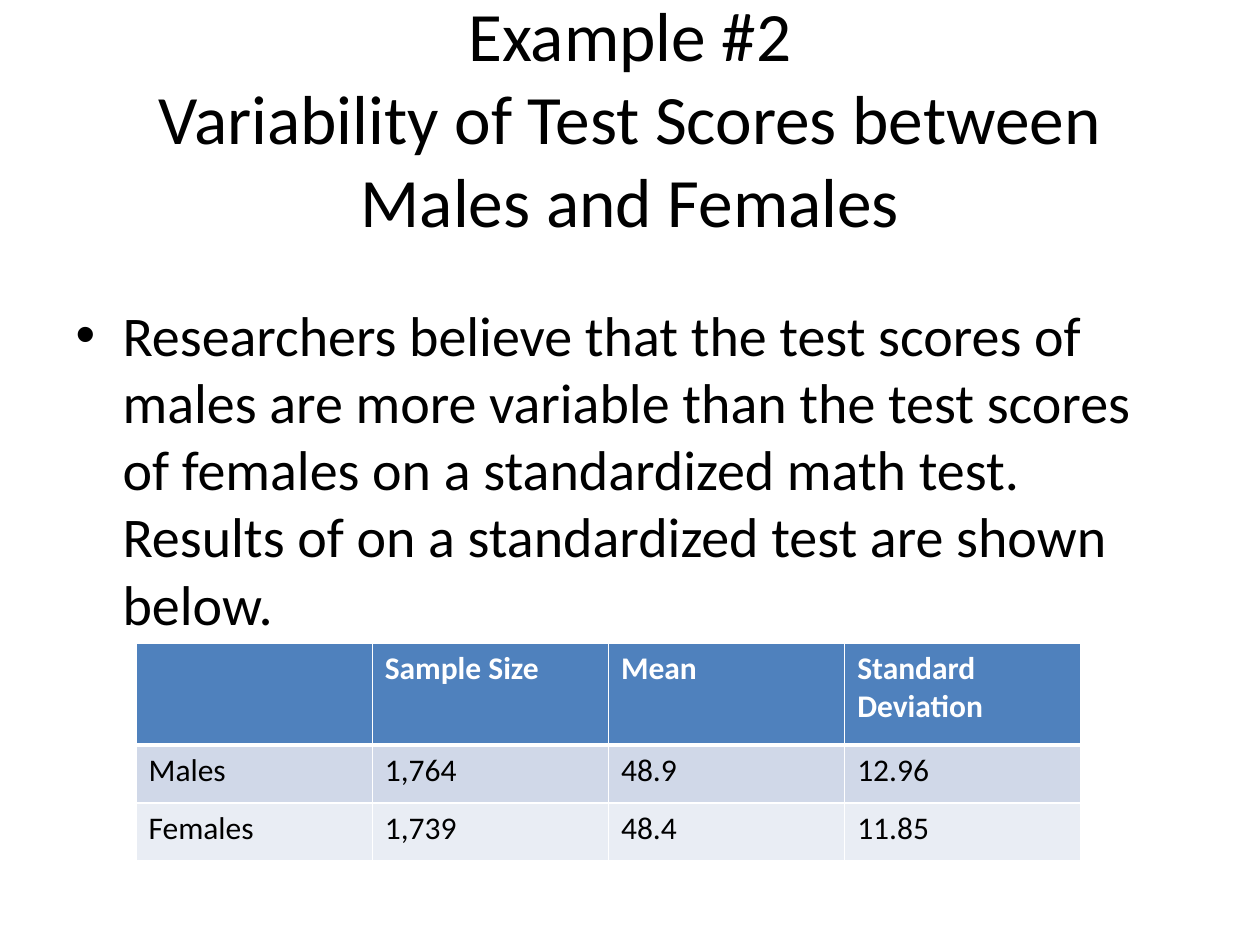
from lxml import etree
from pptx import Presentation
from pptx.dml.color import RGBColor
from pptx.enum.text import MSO_ANCHOR, MSO_AUTO_SIZE, PP_ALIGN
from pptx.oxml.ns import qn
from pptx.util import Pt

CENTER = PP_ALIGN.CENTER
LEFT = PP_ALIGN.LEFT
TOP = MSO_ANCHOR.TOP
MIDDLE = MSO_ANCHOR.MIDDLE
NO_FIT = MSO_AUTO_SIZE.NONE

SCALE = 914400 / 126  # EMU per px
FONT = "Calibri"
COLORS = {"ink": "000000", "paper": "FFFFFF", "head": "4F81BD",
          "odd": "D0D8E8", "even": "E9EDF4"}

SCORES = [
    ["", "Sample Size", "Mean", "Standard Deviation"],
    ["Males", "1,764", "48.9", "12.96"],
    ["Females", "1,739", "48.4", "11.85"],
]


def px(n):
    return round(n * SCALE)


def put(frame, text, size=18, color="ink", bold=False, align=LEFT):
    """Write text as the first paragraph of a frame and format it."""
    para = frame.paragraphs[0]
    para.text = text
    para.alignment = align
    for run in para.runs:
        run.font.name = FONT
        run.font.size = Pt(size)
        run.font.bold = bold
        run.font.color.rgb = RGBColor.from_string(COLORS[color])
    return para


class Deck:
    def __init__(self, wide, high):
        self.prs = Presentation()
        self.prs.slide_width, self.prs.slide_height = px(wide), px(high)
        self.slide = self.prs.slides.add_slide(self.prs.slide_layouts[1])

    def place(self, index, box, anchor):
        """Move a placeholder and return its text frame."""
        shape = self.slide.placeholders[index]
        shape.left, shape.top, shape.width, shape.height = map(px, box)
        frame = shape.text_frame
        frame.word_wrap = True
        frame.auto_size = NO_FIT
        frame.vertical_anchor = anchor
        return frame

    def title(self, text, box):
        put(self.place(0, box, MIDDLE), text, size=39.6, align=CENTER)

    def bullet(self, text, box, indent):
        para = put(self.place(1, box, TOP), text, size=32)
        props = para._p.get_or_add_pPr()
        props.set("marL", str(px(indent)))
        props.set("indent", str(-px(indent)))
        etree.SubElement(props, qn("a:buChar"), char="•")

    def border(self, cell, base):
        """Draw white cell edges, with the bottom one base points wide."""
        props = cell._tc.get_or_add_tcPr()
        for side, width in zip("LRTB", (1, 1, 1, base)):
            line = etree.SubElement(props, qn("a:ln" + side), w=str(Pt(width)))
            fill = etree.SubElement(line, qn("a:solidFill"))
            etree.SubElement(fill, qn("a:srgbClr"), val=COLORS["paper"])

    def table(self, rows, box, heights):
        table = self.slide.shapes.add_table(
            len(rows), len(rows[0]), *map(px, box)).table
        for row, high in zip(table.rows, heights):
            row.height = px(high)
        for r, row in enumerate(rows):
            head = r == 0
            shade = "head" if head else ("even", "odd")[r % 2]
            for c, text in enumerate(row):
                cell = table.cell(r, c)
                put(cell.text_frame, text, bold=head,
                    color="paper" if head else "ink")
                self.border(cell, 3 if head else 1)
                cell.fill.solid()
                cell.fill.fore_color.rgb = RGBColor.from_string(COLORS[shade])


def main():
    deck = Deck(1260, 945)

    # Heading
    deck.title("Example #2\nVariability of Test Scores between Males and Females",
               (63, 38, 1134, 158))

    # Claim
    deck.bullet("Researchers believe that the test scores of males are more "
                "variable than the test scores of females on a standardized "
                "math test. Results of on a standardized test are shown below.",
                (63, 294, 1134, 551), 47)

    # Test results
    deck.table(SCORES, (136, 643, 945, 218), (102, 58, 58))

    deck.prs.save("out.pptx")


if __name__ == "__main__":
    main()
